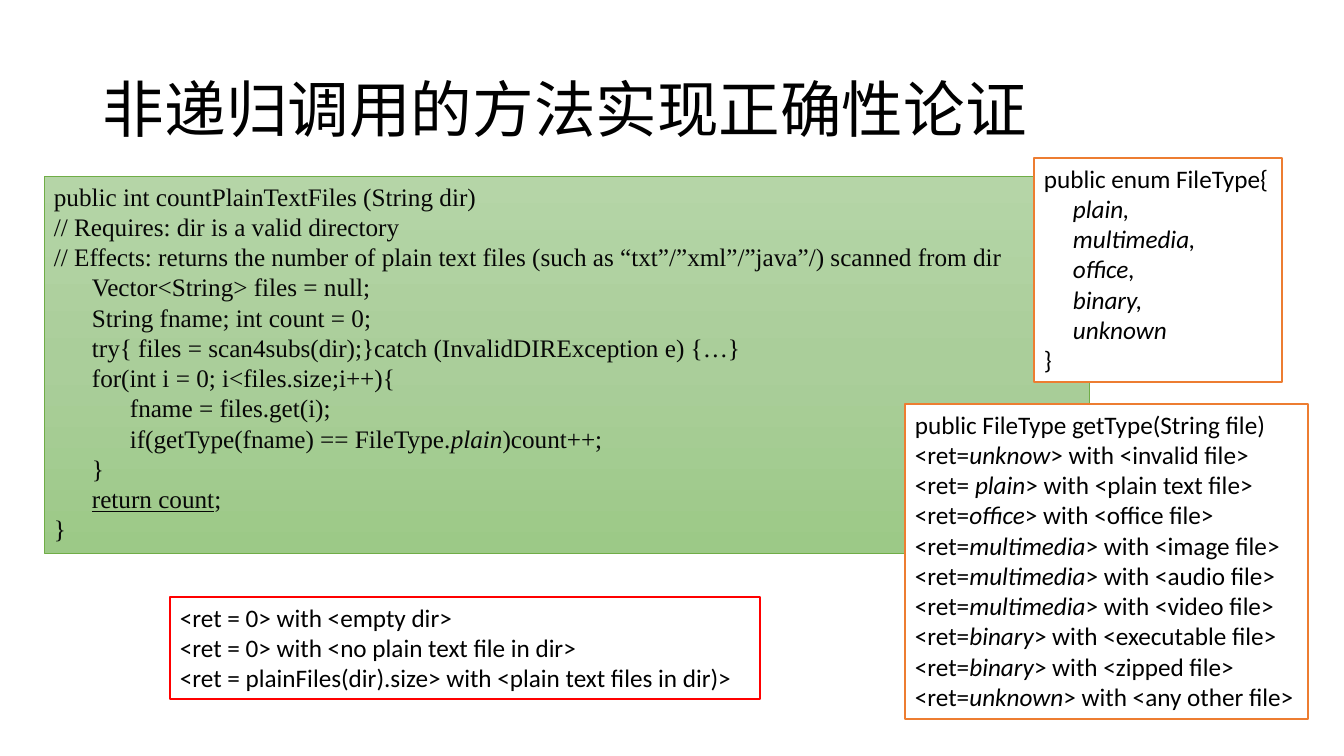
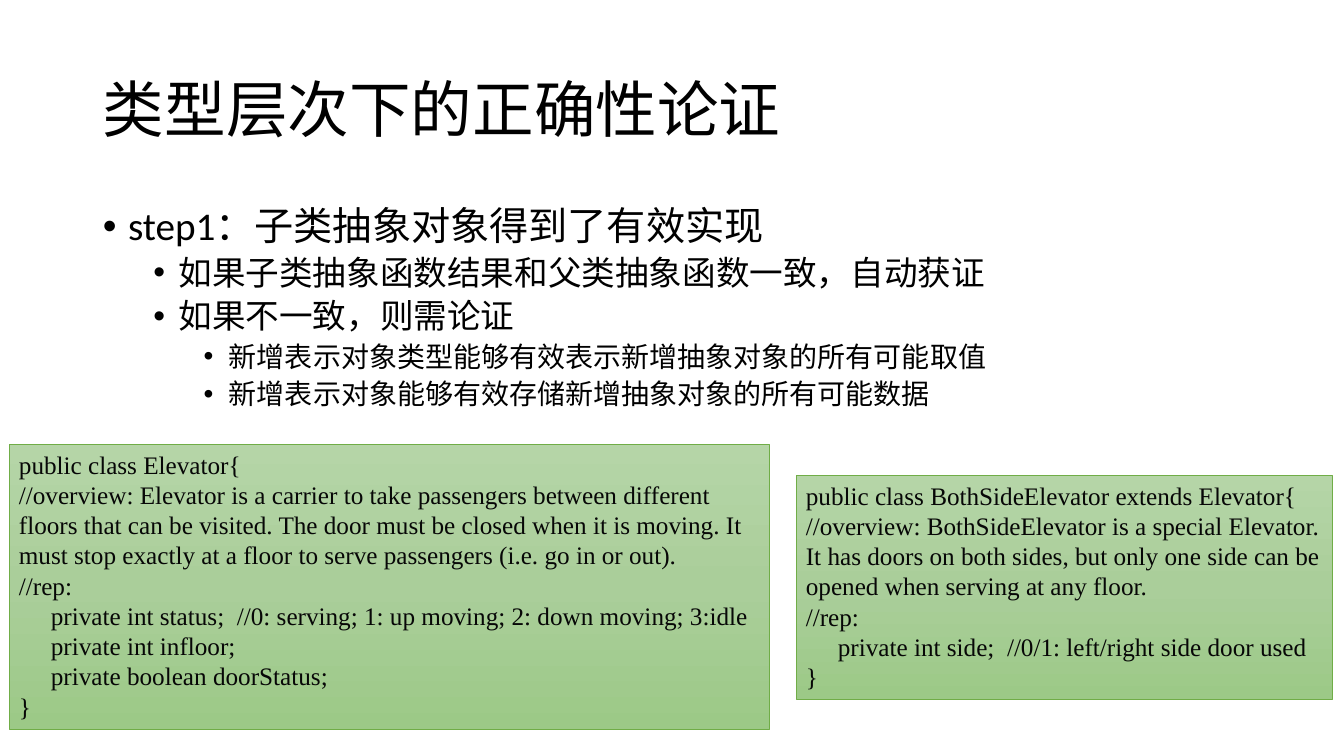
import copy

import lxml.etree
import pptx
import pptx.dml.color
import pptx.enum.shapes
import pptx.enum.text
import pptx.oxml.ns
import pptx.util

RGB = pptx.dml.color.RGBColor
BLACK = RGB(0x00, 0x00, 0x00)
WHITE = RGB(0xFF, 0xFF, 0xFF)
CODE_TEXT = RGB(0x07, 0x07, 0x07)
GREEN = RGB(0x70, 0xAD, 0x47)
ORANGE = RGB(0xED, 0x7D, 0x31)
RED = RGB(0xFF, 0x00, 0x00)
CODE_FILL = [(0, RGB(0xB5, 0xD5, 0xA7)), (0.5, RGB(0xAA, 0xCE, 0x9A)), (1, RGB(0x9C, 0xC9, 0x87))]

WIDTH, HEIGHT = 1344, 756
SCALE = 12192000 / WIDTH
qn = pptx.oxml.ns.qn


def px(n):
    return pptx.util.Emu(round(n * SCALE))


class Deck:
    title_box = (93, 40, 1159, 146)
    title_font = {"name": "Calibri", "size": pptx.util.Pt(44)}
    note_font = {"name": "Calibri", "size": pptx.util.Pt(18)}
    code_font = {"name": "Times New Roman", "size": pptx.util.Pt(18)}
    bullet_sizes = (28, 24, 20)

    def __init__(self):
        self.prs = pptx.Presentation()
        self.prs.slide_width, self.prs.slide_height = px(WIDTH), px(HEIGHT)
        self.slide = None

    def new_slide(self, title):
        self.slide = self.prs.slides.add_slide(self.prs.slide_layouts[6])
        tf = self.text_frame(self.title_box)
        tf.vertical_anchor = pptx.enum.text.MSO_ANCHOR.MIDDLE
        p = tf.paragraphs[0]
        p.line_spacing = 0.9
        self.runs(p, title, self.title_font, BLACK)

    def text_frame(self, box):
        tf = self.slide.shapes.add_textbox(*map(px, box)).text_frame
        tf.word_wrap = True
        return tf

    def runs(self, p, text, font, color):
        for i, part in enumerate(text.split("*")):
            for j, piece in enumerate(part.split("_")):
                if not piece:
                    continue
                r = p.add_run()
                r.text = piece
                styles = {**font, "italic": i % 2 == 1, "underline": j % 2 == 1}
                for name, value in styles.items():
                    setattr(r.font, name, value)
                r.font.color.rgb = color

    def paragraphs(self, tf, lines):
        for i, line in enumerate(lines):
            text = line.lstrip("\t")
            p = tf.paragraphs[0] if i == 0 else tf.add_paragraph()
            yield p, len(line) - len(text), text

    def panel(self, box, lines, line_color, line_width, font, color, indent, wrap=True):
        sp = self.slide.shapes.add_shape(pptx.enum.shapes.MSO_SHAPE.RECTANGLE, *map(px, box))
        sp.shadow.inherit = False
        sp.line.color.rgb = line_color
        sp.line.width = pptx.util.Pt(line_width)
        tf = sp.text_frame
        tf.word_wrap = wrap
        tf.auto_size = pptx.enum.text.MSO_AUTO_SIZE.SHAPE_TO_FIT_TEXT
        tf.vertical_anchor = pptx.enum.text.MSO_ANCHOR.TOP
        for p, level, text in self.paragraphs(tf, lines):
            p.alignment = pptx.enum.text.PP_ALIGN.LEFT
            if level:
                p._p.get_or_add_pPr().set("marL", str(px(level * indent)))
            self.runs(p, text, font, color)
        return sp

    def note(self, box, lines, line_color=ORANGE, line_width=1, wrap=False):
        sp = self.panel(box, lines, line_color, line_width, self.note_font, BLACK, 29, wrap)
        sp.fill.solid()
        sp.fill.fore_color.rgb = WHITE

    def code(self, box, lines, indent):
        sp = self.panel(box, lines, GREEN, 0.5, self.code_font, CODE_TEXT, indent)
        sp.fill.gradient()
        sp.fill.gradient_angle = 270
        stops = sp._element.spPr.find(".//" + qn("a:gsLst"))
        stops.insert(1, copy.deepcopy(stops[0]))
        for stop, (position, color) in zip(sp.fill.gradient_stops, CODE_FILL):
            stop.position = position
            stop.color.rgb = color

    def bullets(self, box, lines):
        for p, level, text in self.paragraphs(self.text_frame(box), lines):
            p.level = level
            p.line_spacing = 0.9
            p.space_before = pptx.util.Pt(5 if level else 10)
            pPr = p._p.get_or_add_pPr()
            pPr.set("marL", str(pptx.util.Inches(0.25 + 0.5 * level)))
            pPr.set("indent", str(pptx.util.Inches(-0.25)))
            lxml.etree.SubElement(pPr, qn("a:buFont")).set("typeface", "Arial")
            lxml.etree.SubElement(pPr, qn("a:buChar")).set("char", "•")
            font = {"name": "Calibri", "size": pptx.util.Pt(self.bullet_sizes[level])}
            self.runs(p, text, font, BLACK)


deck = Deck()

deck.new_slide("非递归调用的方法实现正确性论证")
deck.code((44, 176, 1045, 377), [
    "public int countPlainTextFiles (String dir)",
    "// Requires: dir is a valid directory",
    "// Effects: returns the number of plain text files (such as “txt”/”xml”/”java”/) scanned from dir",
    "\tVector<String> files = null;",
    "\tString fname; int count = 0;",
    "\ttry{ files = scan4subs(dir);}catch (InvalidDIRException e) {…}",
    "\tfor(int i = 0; i<files.size;i++){",
    "\t\tfname = files.get(i);",
    "\t\tif(getType(fname) == FileType.*plain*)count++;",
    "\t}",
    "\t_return count_;",
    "}",
], 38)
deck.note((1034, 158, 248, 224), [
    "public enum FileType{",
    "\t*plain,*",
    "\t*multimedia,*",
    "\t*office,*",
    "\t*binary,*",
    "\t*unknown*",
    "}",
])
deck.note((905, 404, 403, 315), [
    "public FileType getType(String file)",
    "<ret=*unknow*> with <invalid file>",
    "<ret= *plain*> with <plain text file>",
    "<ret=*office*> with <office file>",
    "<ret=*multimedia*> with <image file>",
    "<ret=*multimedia*> with <audio file>",
    "<ret=*multimedia*> with <video file>",
    "<ret=*binary*> with <executable file>",
    "<ret=*binary*> with <zipped file>",
    "<ret=*unknown*> with <any other file>",
])
deck.note((170, 597, 590, 102), [
    "<ret = 0> with <empty dir>",
    "<ret = 0> with <no plain text file in dir>",
    "<ret = plainFiles(dir).size> with <plain text files in dir)>",
], RED, 1.5, True)

deck.new_slide("类型层次下的正确性论证")
deck.bullets((93, 202, 1159, 228), [
    "step1：子类抽象对象得到了有效实现",
    "\t如果子类抽象函数结果和父类抽象函数一致，自动获证",
    "\t如果不一致，则需论证",
    "\t\t新增表示对象类型能够有效表示新增抽象对象的所有可能取值",
    "\t\t新增表示对象能够有效存储新增抽象对象的所有可能数据",
])
deck.code((9, 444, 760, 285), [
    "public class Elevator{",
    "//overview: Elevator is a carrier to take passengers between different floors that can be visited. "
    "The door must be closed when it is moving. It must stop exactly at a floor to serve passengers "
    "(i.e. go in or out).",
    "//rep:",
    "\tprivate int status;  //0: serving; 1: up moving; 2: down moving; 3:idle",
    "\tprivate int infloor;",
    "\tprivate boolean doorStatus;",
    "}",
], 32)
deck.code((796, 475, 536, 224), [
    "public class BothSideElevator extends Elevator{",
    "//overview: BothSideElevator is a special Elevator. It has doors on both sides, "
    "but only one side can be opened when serving at any floor.",
    "//rep:",
    "\tprivate int side;  //0/1: left/right side door used",
    "}",
], 32)

deck.prs.save("out.pptx")
